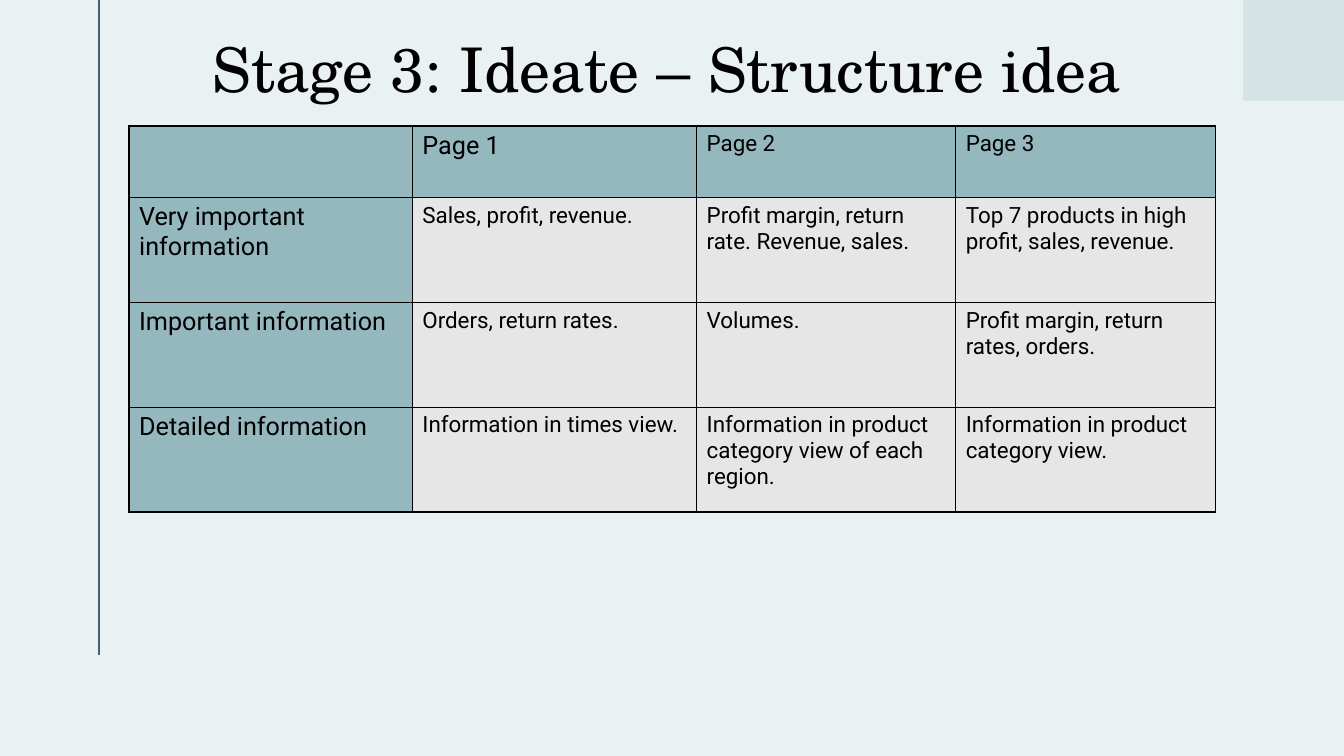
from dataclasses import dataclass

from lxml import etree
from pptx import Presentation
from pptx.dml.color import RGBColor
from pptx.enum import shapes, text
from pptx.oxml import ns
from pptx.util import Inches, Pt


@dataclass(frozen=True)
class Theme:
    back: str = "EAF1F2"
    rule: str = "40636A"
    block: str = "D5E3E5"
    head: str = "95B8BF"
    body: str = "E7E6E6"
    ink: str = "000000"
    serif: str = "TeX Gyre Schola"
    sans: str = "Roboto"
    title: int = 44
    label: int = 18
    small: int = 16


THEME = Theme()
COLS = [2.81, 2.82, 2.57, 2.58]
ROWS = [0.71, 1.04, 1.04, 1.04]
CELLS = [
    ["", "Page 1", "Page 2", "Page 3"],
    ["Very important information", "Sales, profit, revenue.",
     "Profit margin, return rate. Revenue, sales.",
     "Top 7 products in high profit, sales, revenue."],
    ["Important information", "Orders, return rates.", "Volumes.",
     "Profit margin, return rates, orders."],
    ["Detailed information", "Information in times view.",
     "Information in product category view of each region.",
     "Information in product category view."],
]


def paint(fill, color):
    fill.solid()
    fill.fore_color.rgb = RGBColor.from_string(color)


def style(para, face, size):
    para.font.name = face
    para.font.size = Pt(size)
    para.font.color.rgb = RGBColor.from_string(THEME.ink)


def add_rule(slide):
    rule = slide.shapes.add_connector(
        shapes.MSO_CONNECTOR.STRAIGHT,
        Inches(0.98), Inches(0), Inches(0.98), Inches(6.5))
    rule.line.width = Pt(1.5)
    rule.line.color.rgb = RGBColor.from_string(THEME.rule)
    etree.SubElement(rule.element.spPr, ns.qn("a:effectLst"))


def add_block(slide):
    block = slide.shapes.add_shape(
        shapes.MSO_SHAPE.RECTANGLE,
        Inches(12.33), Inches(0), Inches(1), Inches(1))
    block.shadow.inherit = False
    paint(block.fill, THEME.block)
    block.line.fill.background()


def set_title(slide, words):
    title = slide.shapes.title
    title.left, title.top = Inches(1.54), Inches(0.19)
    title.width, title.height = Inches(10.26), Inches(1.06)
    frame = title.text_frame
    frame.text = words
    frame.word_wrap = True
    frame.auto_size = text.MSO_AUTO_SIZE.NONE
    frame.vertical_anchor = text.MSO_ANCHOR.MIDDLE
    frame.margin_left = 0
    frame.margin_right = Inches(0.1)
    frame.margin_top = frame.margin_bottom = Inches(0.05)
    para = frame.paragraphs[0]
    para.alignment = text.PP_ALIGN.CENTER
    para.line_spacing = 0.9
    style(para, THEME.serif, THEME.title)


def add_border(cell):
    props = cell._tc.get_or_add_tcPr()
    for side in ("lnL", "lnR", "lnT", "lnB"):
        line = etree.SubElement(props, ns.qn(f"a:{side}"), w=str(Pt(1)))
        fill = etree.SubElement(line, ns.qn("a:solidFill"))
        etree.SubElement(fill, ns.qn("a:srgbClr"), val=THEME.ink)


def fill_cell(cell, words, row, col):
    cell.text = words
    large = col == 0 or (row, col) == (0, 1)
    style(cell.text_frame.paragraphs[0], THEME.sans,
          THEME.label if large else THEME.small)
    add_border(cell)
    paint(cell.fill, THEME.head if row == 0 or col == 0 else THEME.body)


def add_grid(slide):
    grid = slide.shapes.add_table(
        len(ROWS), len(COLS), Inches(1.28), Inches(1.25),
        Inches(sum(COLS)), Inches(sum(ROWS))).table
    for col, width in zip(grid.columns, COLS):
        col.width = Inches(width)
    for row, height in zip(grid.rows, ROWS):
        row.height = Inches(height)
    for row, line in enumerate(CELLS):
        for col, words in enumerate(line):
            fill_cell(grid.cell(row, col), words, row, col)


def main():
    deck = Presentation()
    deck.slide_width, deck.slide_height = Inches(13.33), Inches(7.5)
    slide = deck.slides.add_slide(deck.slide_layouts.get_by_name("Title Only"))
    paint(slide.background.fill, THEME.back)
    add_rule(slide)
    add_block(slide)
    set_title(slide, "Stage 3: Ideate – Structure idea")
    add_grid(slide)
    deck.save("out.pptx")


if __name__ == "__main__":
    main()
